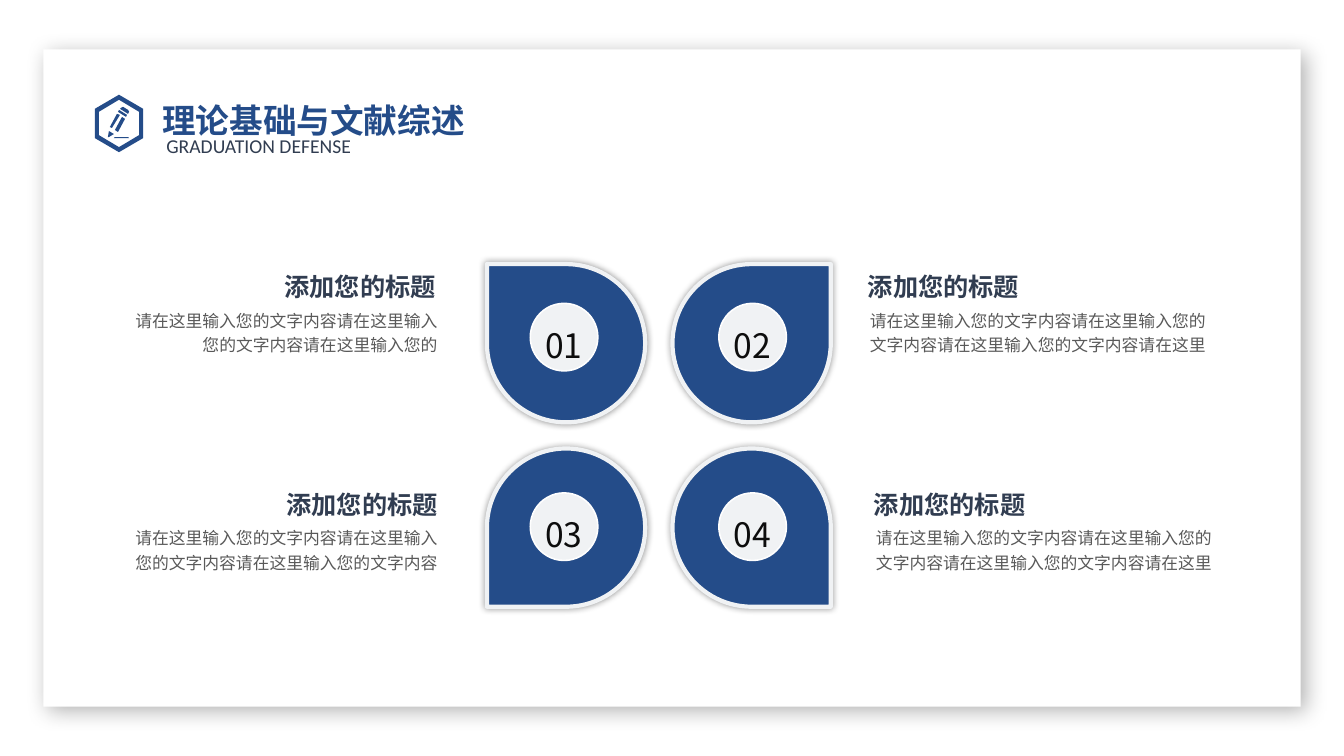
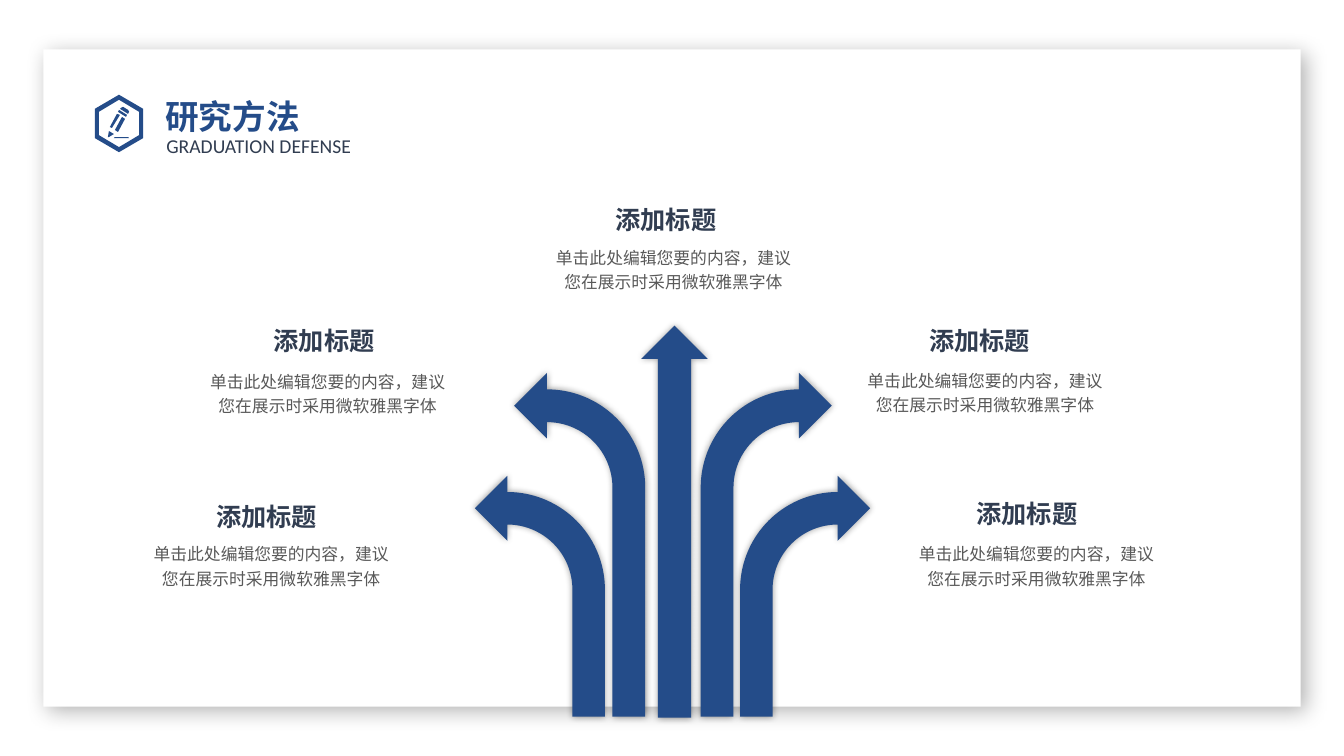
from dataclasses import dataclass
from typing import Any, NamedTuple

from lxml.etree import SubElement
from pptx import Presentation
from pptx.dml.color import RGBColor
from pptx.enum.shapes import MSO_SHAPE as Preset
from pptx.enum.text import MSO_ANCHOR as Anchor, MSO_AUTO_SIZE as AutoSize, PP_ALIGN as Align
from pptx.oxml.ns import qn
from pptx.util import Emu, Pt

EMU_PER_PX = 9144  # 100 px to the inch


def px(length: int) -> Emu:
    return Emu(length * EMU_PER_PX)


class Box(NamedTuple):
    left: int
    top: int
    width: int
    height: int

    def emu(self) -> list[Emu]:
        return [px(length) for length in self]


class TextStyle(NamedTuple):
    size: int
    font: str
    color: RGBColor
    bold: bool = False
    spacing: Any = 1.2


class Shadow(NamedTuple):
    opacity: int
    blur: int
    distance: int = 0
    angle: int = 0


# Colours, type and shadows
CJK_FONT = "Noto Sans CJK SC"
BLUE = RGBColor.from_string("244C89")
SLATE = RGBColor.from_string("313D51")


@dataclass(frozen=True)
class Theme:
    white: RGBColor = RGBColor.from_string("FFFFFF")
    blue: RGBColor = BLUE
    pale: RGBColor = RGBColor.from_string("F0F2F4")
    disc_edge: RGBColor = RGBColor.from_string("FEFEFE")
    title: TextStyle = TextStyle(24, "Lato", BLUE, True)
    subtitle: TextStyle = TextStyle(14, "Calibri", SLATE, spacing=Pt(23))
    number: TextStyle = TextStyle(24, CJK_FONT, RGBColor.from_string("0D0D0D"))
    heading: TextStyle = TextStyle(18, CJK_FONT, SLATE, True)
    body: TextStyle = TextStyle(12, CJK_FONT, RGBColor.from_string("595959"))
    card_shadow: Shadow = Shadow(30, 15, 5, 45)
    soft_shadow: Shadow = Shadow(40, 5)


THEME = Theme()


# Content
class Petal(NamedTuple):
    number: str
    left: int
    top: int
    disc_left: int
    disc_top: int
    flip: str


class Caption(NamedTuple):
    heading: str
    heading_box: Box
    body: str
    body_box: Box
    align: Align
    wrap_heading: bool = True


class Arrow(NamedTuple):
    preset: Preset
    box: Box
    flip: str = ""


PETALS = [
    Petal("01", 483, 262, 526, 301, "H"),
    Petal("02", 667, 262, 713, 301, ""),
    Petal("03", 483, 445, 526, 489, "HV"),
    Petal("04", 667, 445, 713, 489, "V"),
]

REVIEW_HEADING = "添加您的标题"
REVIEW_START = "请在这里输入您的文字内容请在这里输入您的文字内容请在这里输入您的"
REVIEW_CAPTIONS = [
    Caption(REVIEW_HEADING, Box(174, 258, 268, 43),
            REVIEW_START, Box(114, 299, 330, 59), Align.RIGHT),
    Caption(REVIEW_HEADING, Box(851, 258, 246, 43),
            REVIEW_START + "文字内容请在这里", Box(853, 299, 364, 59), Align.LEFT),
    Caption(REVIEW_HEADING, Box(215, 475, 229, 43),
            REVIEW_START + "文字内容", Box(114, 515, 330, 59), Align.RIGHT),
    Caption(REVIEW_HEADING, Box(857, 475, 240, 43),
            REVIEW_START + "文字内容请在这里", Box(859, 515, 364, 59), Align.LEFT),
]

ARROWS = [
    Arrow(Preset.BENT_ARROW, Box(695, 370, 130, 341)),
    Arrow(Preset.BENT_ARROW, Box(510, 370, 130, 341), "H"),
    Arrow(Preset.BENT_ARROW, Box(734, 472, 129, 239)),
    Arrow(Preset.BENT_ARROW, Box(471, 472, 129, 239), "H"),
    Arrow(Preset.UP_ARROW, Box(636, 323, 66, 389)),
]

# Heading left and top, then body left and top
METHOD_PLACES = [
    (204, 486, 135, 531),
    (261, 312, 191, 360),
    (600, 192, 534, 237),
    (911, 312, 843, 359),
    (958, 483, 894, 531),
]
METHOD_CAPTIONS = [
    Caption("添加标题", Box(heading_left, heading_top, 121, 43),
            "单击此处编辑您要的内容，建议您在展示时采用微软雅黑字体",
            Box(body_left, body_top, 268, 59), Align.CENTER, False)
    for heading_left, heading_top, body_left, body_top in METHOD_PLACES
]

# Hexagon badge: outer and inner edge, then the pencil and its line
BADGE_OUTLINES = [
    [(118, 94), (142, 108), (142, 137), (118, 151), (94, 137), (94, 108)],
    [(118, 99), (138, 111), (138, 134), (118, 146), (98, 134), (98, 111)],
    [(114, 136), (127, 136), (128, 137), (127, 137), (114, 137), (113, 137)],
    [(114, 129), (121, 116), (124, 118), (117, 131)],
    [(109, 126), (116, 113), (119, 114), (111, 127)],
    [(107, 136), (108, 130), (113, 133), (108, 136)],
    [(118, 109), (117, 111), (125, 116), (126, 114)],
    [(120, 107), (122, 106), (127, 109), (128, 111), (127, 113), (119, 108)],
]


# Drawing helpers
def write(frame: Any, text: str, style: TextStyle, align: Align) -> None:
    paragraph = frame.paragraphs[0]
    paragraph.alignment = align
    paragraph.line_spacing = style.spacing
    run = paragraph.add_run()
    run.text = text
    run.font.size = Pt(style.size)
    run.font.name = style.font
    run.font.bold = style.bold
    run.font.color.rgb = style.color
    SubElement(run.font._element, qn("a:ea")).set("typeface", CJK_FONT)


def add_text(shapes: Any, box: Box, text: str, style: TextStyle,
             align: Align = Align.LEFT, wrap: bool = True) -> Any:
    frame = shapes.add_textbox(*box.emu()).text_frame
    frame.word_wrap = wrap
    frame.auto_size = AutoSize.SHAPE_TO_FIT_TEXT
    write(frame, text, style, align)
    return frame


def paint(shape: Any, fill: RGBColor, line: RGBColor | None = None,
          line_width: float = 0, shadow: Shadow | None = None) -> None:
    shape.fill.solid()
    shape.fill.fore_color.rgb = fill
    if line is None:
        shape.line.fill.background()
    else:
        shape.line.color.rgb = line
        shape.line.width = Pt(line_width)
    shape.shadow.inherit = False
    if shadow:
        effects = shape.element.spPr.find(qn("a:effectLst"))
        outer = SubElement(effects, qn("a:outerShdw"), {
            "blurRad": str(Pt(shadow.blur)), "dist": str(Pt(shadow.distance)),
            "dir": str(shadow.angle * 60000), "algn": "ctr", "rotWithShape": "0"})
        black = SubElement(outer, qn("a:srgbClr"), {"val": "000000"})
        SubElement(black, qn("a:alpha"), {"val": str(shadow.opacity * 1000)})


def flip_shape(shape: Any, axes: str) -> None:
    for axis in axes:
        shape.element.spPr.find(qn("a:xfrm")).set("flip" + axis, "1")


# Shared frame, kept on the layout
def draw_frame(shapes: Any) -> list[Any]:
    card = shapes.add_shape(Preset.RECTANGLE, *Box(43, 49, 1247, 652).emu())
    paint(card, THEME.white, shadow=THEME.card_shadow)

    builder = shapes.build_freeform(*BADGE_OUTLINES[0][0], scale=EMU_PER_PX)
    for index, (start, *rest) in enumerate(BADGE_OUTLINES):
        if index:
            builder.move_to(*start)
        builder.add_line_segments(rest, close=True)
    badge = builder.convert_to_shape()
    paint(badge, THEME.blue)

    subtitle = add_text(shapes, Box(165, 124, 217, 34), "GRADUATION DEFENSE", THEME.subtitle)
    subtitle.margin_left = subtitle.margin_top = subtitle.margin_right = 0
    return [card.element, badge.element, subtitle._element.getparent()]


def move_frame_to_layout(slide: Any) -> None:
    tree = slide.slide_layout.shapes.element
    for index, element in enumerate(draw_frame(slide.shapes)):
        element.nvSpPr.cNvPr.set("id", str(100 + index))
        tree.insert(2 + index, element)


def add_titled_slide(deck: Any, title: str, box: Box) -> Any:
    slide = deck.slides.add_slide(deck.slide_layouts[5])
    heading = slide.shapes.title
    heading.left, heading.top, heading.width, heading.height = box.emu()
    frame = heading.text_frame
    frame.word_wrap = True
    frame.auto_size = AutoSize.NONE
    frame.vertical_anchor = Anchor.TOP
    write(frame, title, THEME.title, Align.LEFT)
    return slide


# Repeated elements
def draw_petal(slide: Any, petal: Petal) -> None:
    group = slide.shapes.add_group_shape().shapes
    drop = group.add_shape(Preset.TEAR, *Box(petal.left, petal.top, 157, 157).emu())
    flip_shape(drop, petal.flip)
    paint(drop, THEME.blue, THEME.pale, 3, THEME.soft_shadow)
    disc = group.add_shape(Preset.OVAL, *Box(petal.disc_left, petal.disc_top, 67, 67).emu())
    paint(disc, THEME.pale, THEME.disc_edge, 1.13)
    number_box = Box(petal.disc_left + 5, petal.disc_top + 8, 60, 54)
    add_text(group, number_box, petal.number, THEME.number, wrap=False)


def draw_caption(slide: Any, caption: Caption) -> None:
    group = slide.shapes.add_group_shape().shapes
    add_text(group, caption.heading_box, caption.heading, THEME.heading,
             caption.align, caption.wrap_heading)
    add_text(group, caption.body_box, caption.body, THEME.body, caption.align)


def draw_arrow(slide: Any, arrow: Arrow) -> None:
    shape = slide.shapes.add_shape(arrow.preset, *arrow.box.emu())
    if arrow.preset == Preset.BENT_ARROW:
        shape.adjustments[3] = 0.75
    flip_shape(shape, arrow.flip)
    paint(shape, THEME.blue, shadow=THEME.soft_shadow)


def main() -> None:
    deck = Presentation()
    deck.slide_width, deck.slide_height = px(1333), px(750)

    # Theory and literature review
    review = add_titled_slide(deck, "理论基础与文献综述", Box(151, 86, 475, 50))
    move_frame_to_layout(review)
    for petal in PETALS:
        draw_petal(review, petal)
    for caption in REVIEW_CAPTIONS:
        draw_caption(review, caption)

    # Research methods
    methods = add_titled_slide(deck, "研究方法", Box(154, 82, 397, 50))
    for arrow in ARROWS:
        draw_arrow(methods, arrow)
    for caption in METHOD_CAPTIONS:
        draw_caption(methods, caption)

    deck.save("out.pptx")


if __name__ == "__main__":
    main()
